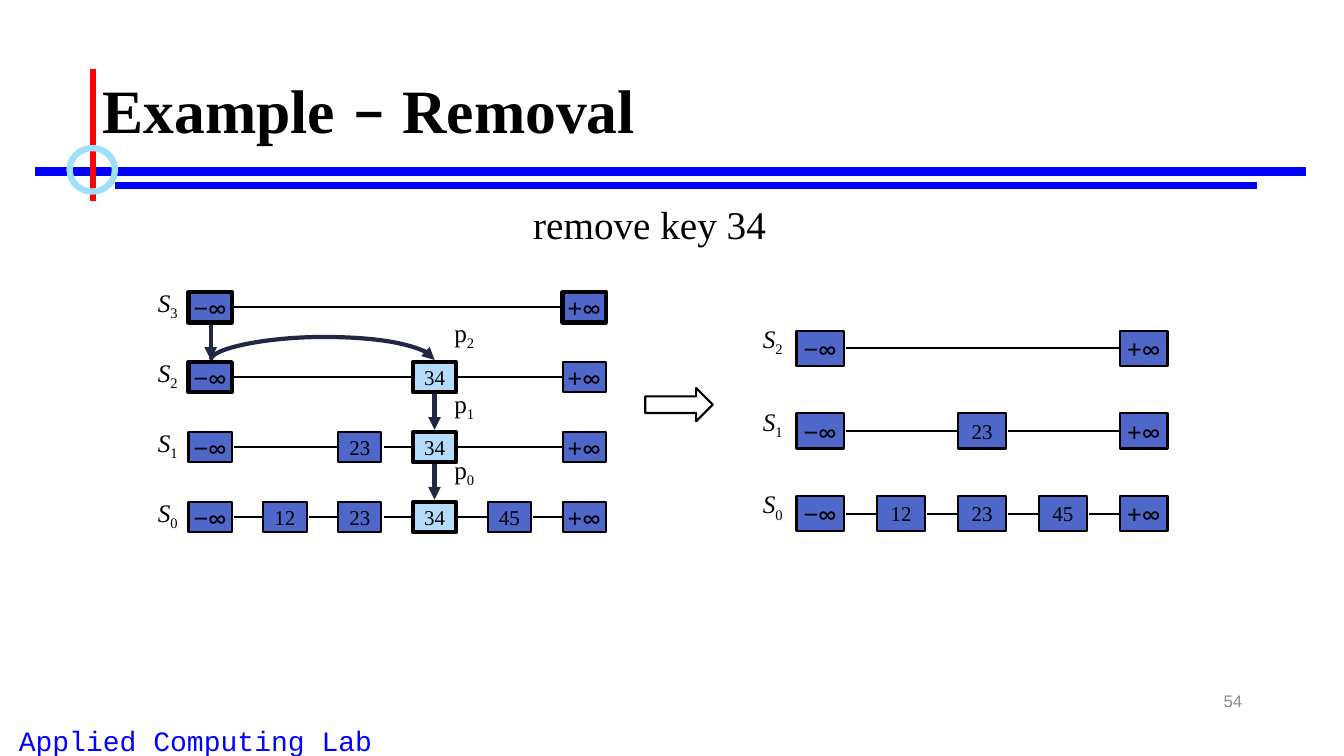
import pptx
import pptx.util
import pptx.dml.color
import pptx.enum.shapes
import pptx.enum.text
import pptx.oxml
import pptx.oxml.ns

Inches, Pt = pptx.util.Inches, pptx.util.Pt
RGBColor = pptx.dml.color.RGBColor
SHAPE = pptx.enum.shapes.MSO_SHAPE
CONNECTOR = pptx.enum.shapes.MSO_CONNECTOR
ALIGN = pptx.enum.text.PP_ALIGN
ANCHOR = pptx.enum.text.MSO_ANCHOR
qn = pptx.oxml.ns.qn

BLACK = RGBColor(0x00, 0x00, 0x00)
BLUE = RGBColor(0x00, 0x00, 0xFF)
RED = RGBColor(0xFF, 0x00, 0x00)
RING_BLUE = RGBColor(0x9E, 0xE0, 0xF8)
NODE_BLUE = RGBColor(0x4E, 0x67, 0xC8)
REMOVED_BLUE = RGBColor(0xB4, 0xDC, 0xFA)
SEARCH_NAVY = RGBColor(0x21, 0x27, 0x45)
GREY = RGBColor(0x8C, 0x8C, 0x8C)

SERIF, SANS, SYMBOL, MONO = "Times New Roman", "Arial", "Lato", "Courier New"

deck = pptx.Presentation()
deck.slide_width, deck.slide_height = Inches(13.33), Inches(7.5)
slide = deck.slides.add_slide(deck.slide_layouts[6])
shapes = slide.shapes


def write(shape, pieces, size, color=BLACK, align=ALIGN.CENTER,
          anchor=ANCHOR.TOP, wrap=False):
    """Fill a shape with one paragraph made of (text, font name) pieces."""
    frame = shape.text_frame
    frame.word_wrap, frame.vertical_anchor = wrap, anchor
    paragraph = frame.paragraphs[0]
    paragraph.alignment = align
    paragraph.font.size = Pt(size)
    paragraph.font.color.rgb = color
    for text, font_name in pieces:
        run = paragraph.add_run()
        run.text, run.font.name = text, font_name
    return paragraph


def draw_line(start, end, color=BLACK, width=1.5, kind=CONNECTOR.STRAIGHT, arrow=False):
    line = shapes.add_connector(kind, *(Inches(v) for v in (*start, *end)))
    line.line.color.rgb, line.line.width = color, Pt(width)
    if arrow:
        head = pptx.oxml.parse_xml(f'<a:tailEnd {pptx.oxml.ns.nsdecls("a")} type="triangle"/>')
        line.line._get_or_add_ln().append(head)
    effects = pptx.oxml.parse_xml(f'<a:effectLst {pptx.oxml.ns.nsdecls("a")}/>')
    line._element.spPr.append(effects)
    return line


# Page frame
lab = shapes.add_textbox(Inches(-0.58), Inches(7.13), Inches(5.04), Inches(0.43))
write(lab, [("Applied Computing Lab", MONO)], 20, BLUE, wrap=True)
draw_line((0.35, 1.7), (12.95, 1.7), BLUE, 6)
draw_line((1.14, 1.84), (12.47, 1.84), BLUE, 4.5)
draw_line((0.92, 0.68), (0.92, 1.99), RED, 4.5)
ring = shapes.add_shape(SHAPE.OVAL, Inches(0.69), Inches(1.47), Inches(0.45), Inches(0.43))
ring.shadow.inherit = False
ring.fill.background()
ring.line.color.rgb, ring.line.width = RING_BLUE, Pt(4.5)

page_number = shapes.add_textbox(Inches(9.42), Inches(6.75), Inches(3), Inches(0.4))
write(page_number, [("54", SANS)], 12, GREY, ALIGN.RIGHT, ANCHOR.MIDDLE, True)
title = shapes.add_textbox(Inches(0.92), Inches(0.4), Inches(11.5), Inches(1.45))
heading = write(title, [("Example ", SERIF), ("–", SYMBOL), (" Removal", SERIF)], 44,
                align=ALIGN.LEFT, anchor=ANCHOR.MIDDLE, wrap=True)
heading.font.bold = True
heading.line_spacing = 0.9
task = shapes.add_textbox(Inches(5.19), Inches(1.94), Inches(2.51), Inches(0.57))
write(task, [("remove key 34", SERIF)], 28, align=ALIGN.LEFT)

# Skip lists: each level maps grid column to key, from the top level down
MINUS, PLUS = "−∞", "+∞"
before = dict(
    left=1.87, top=2.9, column=3.71 / 5, row=2.08 / 3, node=(0.43, 0.3),
    label_shift=(-0.42, -0.1), visited={(0, 0), (0, 5), (1, 0)},
    levels=[{0: MINUS, 5: PLUS},
            {0: MINUS, 3: "34", 5: PLUS},
            {0: MINUS, 2: "23", 3: "34", 5: PLUS},
            {0: MINUS, 1: "12", 2: "23", 3: "34", 4: "45", 5: PLUS}])
after = dict(
    left=7.9, top=3.28, column=3.21 / 4, row=0.82, node=(0.47, 0.35),
    label_shift=(-0.45, -0.12), visited=set(),
    levels=[{0: MINUS, 4: PLUS},
            {0: MINUS, 2: "23", 4: PLUS},
            {0: MINUS, 1: "12", 2: "23", 3: "45", 4: PLUS}])

labels = [("p", 0, 4.39, 4.46), ("p", 1, 4.39, 3.8), ("p", 2, 4.39, 3.1)]
for skip_list in (before, after):
    node_width, node_height = skip_list["node"]
    shift_x, shift_y = skip_list["label_shift"]
    for depth, keys in enumerate(skip_list["levels"]):
        top = skip_list["top"] + depth * skip_list["row"]
        middle = top + node_height / 2
        labels.append(("S", len(skip_list["levels"]) - 1 - depth,
                       skip_list["left"] + shift_x, top + shift_y))
        previous_right = None
        for column, key in keys.items():
            left = skip_list["left"] + column * skip_list["column"]
            if previous_right is not None:
                draw_line((previous_right + 0.02, middle), (left - 0.01, middle))
            previous_right = left + node_width
            removed = key == "34"
            heavy = removed or (depth, column) in skip_list["visited"]
            node = shapes.add_shape(SHAPE.RECTANGLE, Inches(left), Inches(top),
                                    Inches(node_width), Inches(node_height))
            node.shadow.inherit = False
            node.fill.solid()
            node.fill.fore_color.rgb = REMOVED_BLUE if removed else NODE_BLUE
            node.line.color.rgb, node.line.width = BLACK, Pt(3 if heavy else 1.5)
            if key in (MINUS, PLUS):
                write(node, [(key[0], SANS), (key[1], SYMBOL)], 18, anchor=ANCHOR.MIDDLE)
            else:
                write(node, [(key, SERIF)], 15, anchor=ANCHOR.MIDDLE)

for letter, index, left, top in labels:
    label = shapes.add_textbox(Inches(left), Inches(top), Inches(0.43), Inches(0.4))
    name = write(label, [(letter, SERIF), (str(index), SERIF)], 18)
    name.runs[0].font.italic = letter == "S"
    name.runs[1].font._element.set("baseline", "-25000")

# Search path: down from S3, across S2 to 34, then down through 34
start_x, removed_x = 2.09, 4.31
for x, depth in ((start_x, 0), (removed_x, 1), (removed_x, 2)):
    tail_y = before["top"] + depth * before["row"] + 0.32
    draw_line((x, tail_y), (x, tail_y + 0.35), SEARCH_NAVY, 3, arrow=True)

# The hop is a thin upright curve turned by 90 degrees; its bulge is a multiple of its width
hop_x, hop_y, hop_width, hop_rise = (start_x + removed_x) / 2, 3.57, 0.002, 0.23
half_span = (removed_x - start_x) / 2
hop = draw_line((hop_x, hop_y + half_span), (hop_x + hop_width, hop_y - half_span),
                SEARCH_NAVY, 3, CONNECTOR.CURVE, arrow=True)
hop._element.spPr.find(qn("a:xfrm")).set("rot", str(90 * 60000))
bulge = pptx.oxml.parse_xml(
    f'<a:gd {pptx.oxml.ns.nsdecls("a")} name="adj1" '
    f'fmla="val {round(-hop_rise / hop_width * 100000)}"/>')
hop._element.spPr.find(qn("a:prstGeom")).get_or_add_avLst().append(bulge)

result_arrow = shapes.add_shape(SHAPE.RIGHT_ARROW, Inches(6.4), Inches(3.85),
                                Inches(0.67), Inches(0.33))
result_arrow.shadow.inherit = False
result_arrow.fill.background()
result_arrow.line.color.rgb, result_arrow.line.width = BLACK, Pt(1.5)

deck.save("out.pptx")
